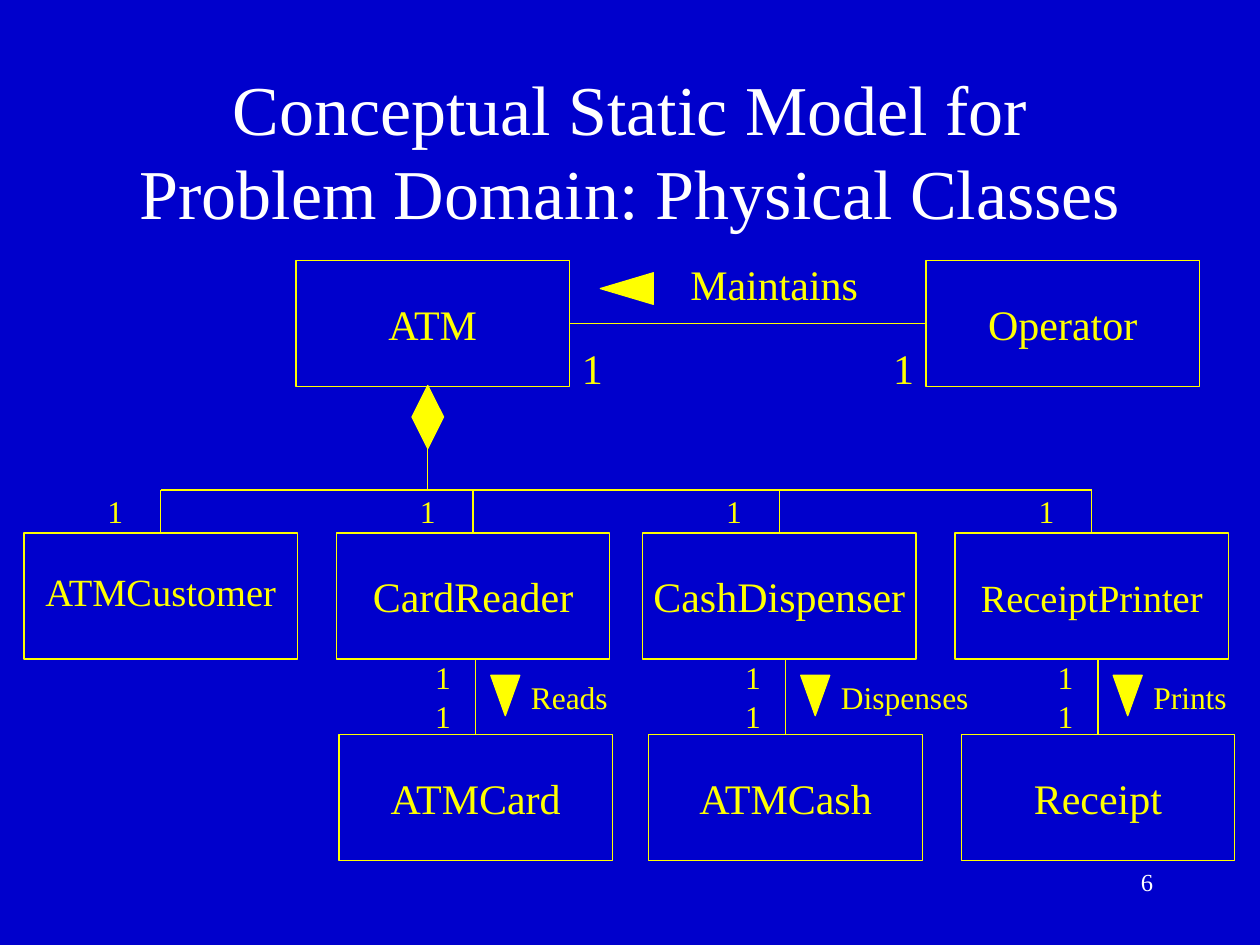
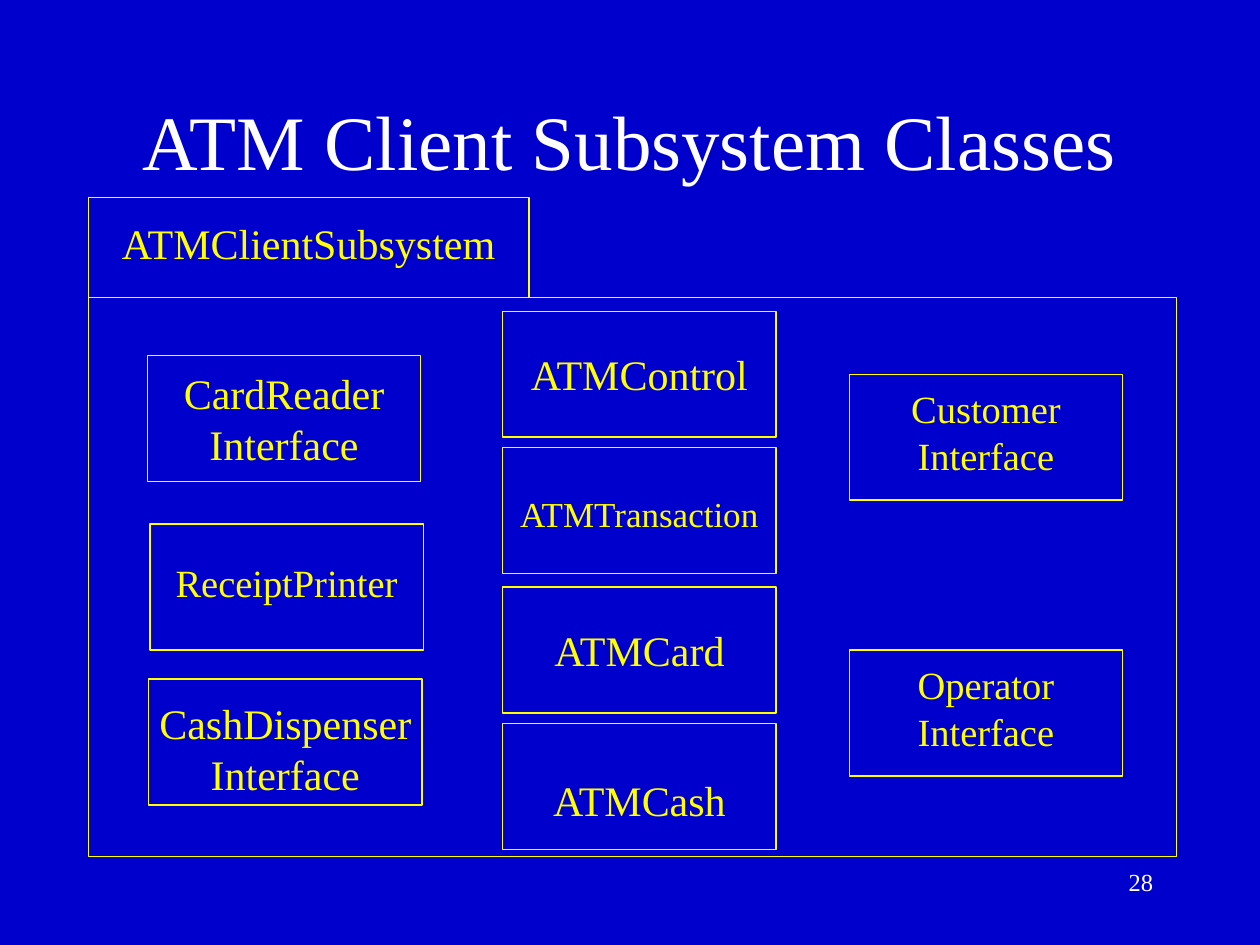
import pptx
import pptx.dml.color
import pptx.enum.shapes
import pptx.enum.text
import pptx.oxml
import pptx.util

Inches = pptx.util.Inches
Shape = pptx.enum.shapes.MSO_SHAPE
Align = pptx.enum.text.PP_ALIGN
Anchor = pptx.enum.text.MSO_ANCHOR

COLOURS = {"background": "0000CC", "title": "FFFFFF", "diagram": "FFFF00"}
FONT = "Times New Roman"
BOX_WIDTH, BOX_HEIGHT = 2.17, 1


def colour(name):
    return pptx.dml.color.RGBColor.from_string(COLOURS[name])


def centre(box):
    """Horizontal middle of a shape, in inches."""
    return (box.left + box.width / 2) / Inches(1)


class Deck:
    def __init__(self):
        self.presentation = pptx.Presentation()
        self.presentation.slide_width = Inches(10)
        self.presentation.slide_height = Inches(7.5)
        self.slide = None

    def new_slide(self, title, number, title_top, title_size):
        self.slide = self.presentation.slides.add_slide(self.presentation.slide_layouts[6])
        fill = self.slide.background.fill
        fill.solid()
        fill.fore_color.rgb = colour("background")
        self.text(title, 0.75, title_top, 8.5, height=1.25, size=title_size, tint="title",
                  align=Align.CENTER, anchor=Anchor.MIDDLE)
        self.text(str(number), 7.17, 6.83, 2.08, height=0.5, size=14, tint="title",
                  align=Align.RIGHT)

    def text(self, content, left, top, width, height=None, size=24, tint="diagram",
             align=Align.LEFT, anchor=Anchor.TOP):
        """Add a text box; without a height it is as tall as its lines."""
        lines = content.split("\n")
        fitted = 0.1 + len(lines) * size * 1.2 / 72
        shape = self.slide.shapes.add_textbox(
            Inches(left), Inches(top), Inches(width), Inches(height or fitted))
        frame = shape.text_frame
        frame.word_wrap = True
        frame.vertical_anchor = anchor
        frame.text = content
        for paragraph in frame.paragraphs:
            paragraph.alignment = align
            paragraph.font.name = FONT
            paragraph.font.size = pptx.util.Pt(size)
            paragraph.font.color.rgb = colour(tint)

    def shape(self, kind, left, top, width, height, filled=True, rotation=0):
        shape = self.slide.shapes.add_shape(
            kind, Inches(left), Inches(top), Inches(width), Inches(height))
        shape.shadow.inherit = False
        shape.rotation = rotation
        if filled:
            shape.fill.solid()
            shape.fill.fore_color.rgb = colour("diagram")
        else:
            shape.fill.background()
        shape.line.color.rgb = colour("diagram")
        shape.line.width = pptx.util.Pt(0.75)
        return shape

    def box(self, name, left, top, label_width, label_drop=0.25, size=24,
            width=BOX_WIDTH, height=BOX_HEIGHT):
        """Outlined box whose label is centred, label_drop below its top."""
        box = self.shape(Shape.RECTANGLE, left, top, width, height, filled=False)
        self.text(name, left + (width - label_width) / 2, top + label_drop, label_width,
                  size=size, align=Align.CENTER)
        return box

    def line(self, start, end, begin_at=None, end_at=None):
        """Straight line; begin_at and end_at are (shape, side) joints."""
        connector = self.slide.shapes.add_connector(
            pptx.enum.shapes.MSO_CONNECTOR.STRAIGHT, *map(Inches, start + end))
        connector.line.color.rgb = colour("diagram")
        connector.line.width = pptx.util.Pt(0.75)
        properties = connector._element.spPr
        properties.append(pptx.oxml.parse_xml(
            '<a:effectLst xmlns:a="http://schemas.openxmlformats.org/drawingml/2006/main"/>'))
        if begin_at:
            connector.begin_connect(*begin_at)
        if end_at:
            connector.end_connect(*end_at)


def physical_classes(deck):
    deck.new_slide("Conceptual Static Model for Problem Domain: Physical Classes", 6, 0.56, 40)

    atm = deck.box("ATM", 2.35, 2.07, 1.04)
    operator = deck.box("Operator", 7.35, 2.07, 1.5)
    deck.line((4.52, 2.57), (7.35, 2.57), (atm, 3), (operator, 1))
    deck.text("Maintains", 5.38, 2, 1.65)
    deck.shape(Shape.ISOSCELES_TRIANGLE, 4.85, 2.08, 0.25, 0.42, rotation=270)
    for left in (4.52, 6.99):
        deck.text("1", left, 2.67, 0.4)

    bus_top, parts_top, products_top = 3.89, 4.23, 5.83
    parts = [
        deck.box("ATMCustomer", 0.19, parts_top, 2.15, 0.23, 22),
        deck.box("CardReader", 2.67, parts_top, 1.9),
        deck.box("CashDispenser", 5.1, parts_top, 2.3),
        deck.box("ReceiptPrinter", 7.58, parts_top, 2.06, 0.28, 22),
    ]
    diamond = deck.shape(Shape.DIAMOND, 3.27, 3.06, 0.25, 0.5)
    deck.line((centre(diamond), 3.56), (centre(diamond), bus_top), (diamond, 2))
    deck.line((centre(parts[0]), bus_top), (centre(parts[-1]), bus_top))
    for part in parts:
        middle = centre(part)
        deck.line((middle, bus_top), (middle, parts_top), end_at=(part, 0))
        deck.text("1", middle - 0.52, 3.86, 0.36, size=18)

    products = [
        ("ATMCard", 2.69, 1.7, "Reads", 0.93),
        ("ATMCash", 5.15, 1.7, "Dispenses", 1.35),
        ("Receipt", 7.63, 1.34, "Prints", 0.9),
    ]
    for name, left, label_width, verb, verb_width in products:
        product = deck.box(name, left, products_top, label_width)
        middle = centre(product)
        deck.line((middle, parts_top + BOX_HEIGHT), (middle, products_top), end_at=(product, 0))
        for top in (5.17, 5.48):
            deck.text("1", middle - 0.42, top, 0.36, size=18)
        deck.shape(Shape.ISOSCELES_TRIANGLE, middle + 0.12, 5.36, 0.23, 0.32, rotation=180)
        deck.text(verb, middle + 0.34, 5.33, verb_width, size=18)


def client_subsystem(deck):
    deck.new_slide("ATM Client Subsystem Classes", 28, 0.48, 44)

    deck.shape(Shape.RECTANGLE, 0.7, 2.36, 8.64, 4.44, filled=False)
    deck.box("ATMClientSubsystem", 0.7, 1.57, 3.3, 0.11, width=3.5, height=0.79)

    # name, left, top, label width, label drop, text size
    classes = [
        ("CardReader\nInterface", 1.17, 2.82, 1.9, 0.05, 24),
        ("ReceiptPrinter", 1.19, 4.16, 2.06, 0.23, 22),
        ("CashDispenser\nInterface", 1.18, 5.39, 2.3, 0.1, 24),
        ("ATMControl", 3.99, 2.47, 2.06, 0.25, 24),
        ("ATMTransaction", 3.99, 3.55, 2.23, 0.31, 20),
        ("ATMCard", 3.99, 4.66, 1.7, 0.25, 24),
        ("ATMCash", 3.99, 5.74, 1.7, 0.36, 24),
        ("Customer\nInterface", 6.74, 2.97, 1.5, 0.04, 22),
        ("Operator\nInterface", 6.74, 5.16, 1.4, 0.04, 22),
    ]
    for class_box in classes:
        deck.box(*class_box)


def main():
    deck = Deck()
    physical_classes(deck)
    client_subsystem(deck)
    deck.presentation.save("out.pptx")


if __name__ == "__main__":
    main()
